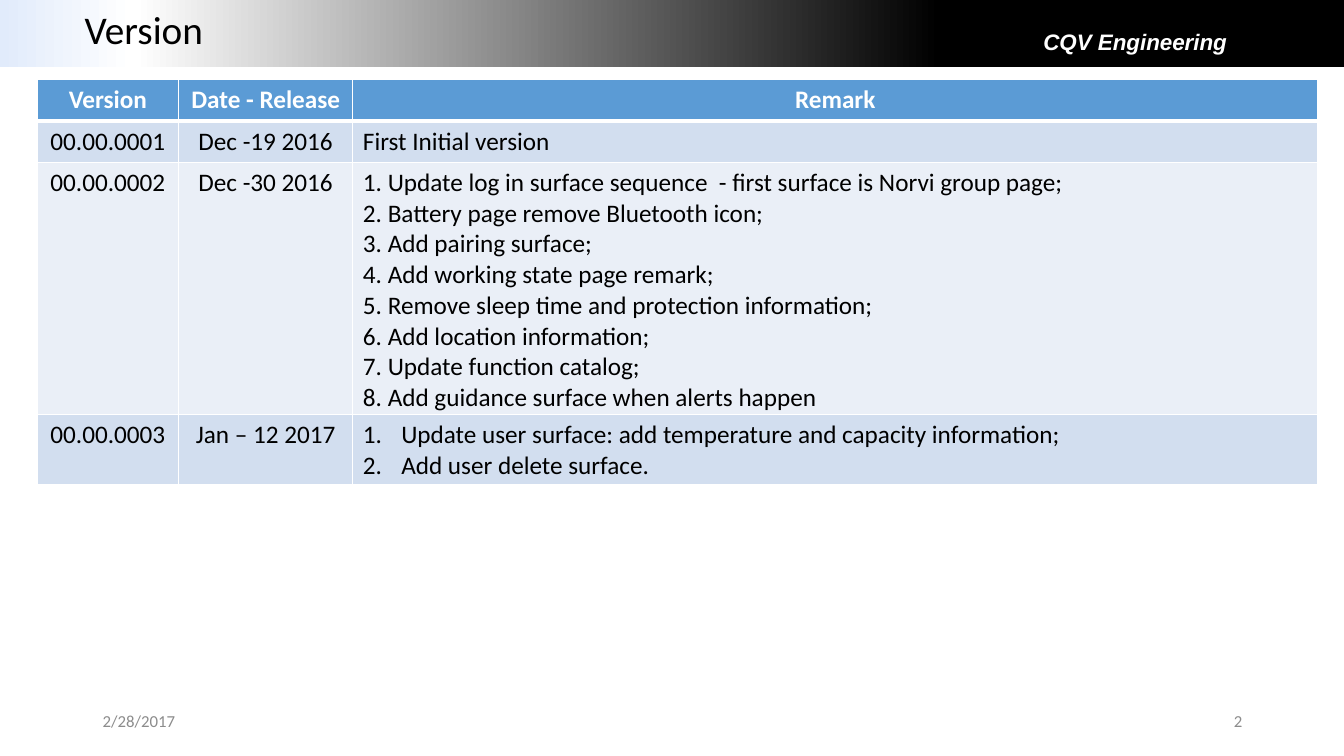
from copy import deepcopy

from lxml import etree
from pptx import Presentation
from pptx.dml.color import RGBColor
from pptx.enum import shapes, text
from pptx.oxml.ns import qn
from pptx.util import Inches, Pt

BLACK = RGBColor(0x00, 0x00, 0x00)
WHITE = RGBColor(0xFF, 0xFF, 0xFF)
PALE_BLUE = RGBColor(0xE1, 0xEB, 0xFB)
GRAY = RGBColor(0x8C, 0x8C, 0x8C)
HEADER_BLUE = RGBColor(0x5B, 0x9B, 0xD5)
BAND_DARK = RGBColor(0xD2, 0xDE, 0xEF)
BAND_LIGHT = RGBColor(0xEA, 0xEF, 0xF7)


def format_paragraph(paragraph, size, color, align=text.PP_ALIGN.LEFT, name="Calibri", bold=False):
    paragraph.alignment = align
    paragraph.font.size = Pt(size)
    paragraph.font.name = name
    paragraph.font.bold = bold
    paragraph.font.color.rgb = color


def add_border(cell, side, width):
    properties = cell._tc.get_or_add_tcPr()
    line = etree.SubElement(properties, qn(f"a:ln{side}"), w=str(Pt(width)))
    fill = etree.SubElement(line, qn("a:solidFill"))
    etree.SubElement(fill, qn("a:srgbClr"), val=str(WHITE))


presentation = Presentation()
presentation.slide_width = Inches(13.33)
presentation.slide_height = Inches(7.5)
slide = presentation.slides.add_slide(presentation.slide_layouts[5])

# Gradient banner
banner = slide.shapes.add_shape(
    shapes.MSO_SHAPE.RECTANGLE, 0, 0, presentation.slide_width, Inches(0.67))
banner.shadow.inherit = False
banner.line.fill.background()
banner.fill.gradient()
banner.fill.gradient_angle = 180
stop_list = banner._element.spPr.find(".//" + qn("a:gsLst"))
stop_list.append(deepcopy(stop_list[-1]))
banner_stops = [(0.3, BLACK), (0.9, WHITE), (1, PALE_BLUE)]
for stop, (position, color) in zip(banner.fill.gradient_stops, banner_stops):
    stop.position = position
    stop.color.rgb = color

# Department name, on one line
department = slide.shapes.add_textbox(Inches(10.25), Inches(0.23), Inches(2.3), Inches(0.37))
department.text_frame.word_wrap = True
department.text_frame.text = "CQV Engineering"
paragraph = department.text_frame.paragraphs[0]
format_paragraph(paragraph, 16, WHITE, name="Arial", bold=True)
paragraph.font.italic = True

# Footer: date and page number
for left, words, align in [(0.92, "2/28/2017", text.PP_ALIGN.LEFT),
                           (9.42, "2", text.PP_ALIGN.RIGHT)]:
    footer = slide.shapes.add_textbox(Inches(left), Inches(6.95), Inches(3), Inches(0.4))
    footer.text_frame.word_wrap = True
    footer.text_frame.vertical_anchor = text.MSO_ANCHOR.MIDDLE
    footer.text_frame.text = words
    format_paragraph(footer.text_frame.paragraphs[0], 12, GRAY, align)

# Version table
updates = [
    "1. Update log in surface sequence  - first surface is Norvi group page;",
    "2. Battery page remove Bluetooth icon;",
    "3. Add pairing surface;",
    "4. Add working state page remark;",
    "5. Remove sleep time and protection information;",
    "6. Add location information;",
    "7. Update function catalog;",
    "8. Add guidance surface when alerts happen",
]
user_updates = [
    "Update user surface: add temperature and capacity information;",
    "Add user delete surface.",
]
rows = [
    ("Version", "Date - Release", "Remark"),
    ("00.00.0001", "Dec -19 2016", "First Initial version"),
    ("00.00.0002", "Dec -30 2016", "\n".join(updates)),
    ("00.00.0003", "Jan – 12 2017", "\n".join(user_updates)),
]
row_fills = [HEADER_BLUE, BAND_DARK, BAND_LIGHT, BAND_DARK]
column_widths = [1.4, 1.73, 9.57]
row_heights = [0.41, 0.41, 2.5, 0.69]

table = slide.shapes.add_table(
    len(rows), len(column_widths), Inches(0.37), Inches(0.79),
    Inches(sum(column_widths)), Inches(sum(row_heights))).table
for column, width in zip(table.columns, column_widths):
    column.width = Inches(width)
for row, height in zip(table.rows, row_heights):
    row.height = Inches(height)

for row_index, values in enumerate(rows):
    is_header = row_index == 0
    for column_index, value in enumerate(values):
        cell = table.cell(row_index, column_index)
        cell.text = value
        for side in "LRTB":
            at_header_edge = (is_header and side == "B") or (row_index == 1 and side == "T")
            add_border(cell, side, 3 if at_header_edge else 1)
        cell.fill.solid()
        cell.fill.fore_color.rgb = row_fills[row_index]
        centered = is_header or column_index < 2
        align = text.PP_ALIGN.CENTER if centered else text.PP_ALIGN.LEFT
        for paragraph in cell.text_frame.paragraphs:
            format_paragraph(paragraph, 18, WHITE if is_header else BLACK, align, bold=is_header)

# Automatic numbering in the last remark
for paragraph in table.cell(3, 2).text_frame.paragraphs:
    properties = paragraph._p.get_or_add_pPr()
    properties.set("marL", str(Inches(0.38)))
    properties.set("indent", str(Inches(-0.38)))
    numbering = etree.Element(qn("a:buAutoNum"), type="arabicPeriod")
    properties.insert(0, numbering)

# Title, in front of the banner
title = slide.shapes.title
title.left, title.top = Inches(0.74), Inches(0)
title.width, title.height = Inches(11.5), Inches(0.64)
title.text_frame.text = "Version"
title.text_frame.vertical_anchor = text.MSO_ANCHOR.MIDDLE
format_paragraph(title.text_frame.paragraphs[0], 28, BLACK)
title.text_frame.paragraphs[0].line_spacing = 0.9
slide.shapes._spTree.append(title._element)

presentation.save("out.pptx")
